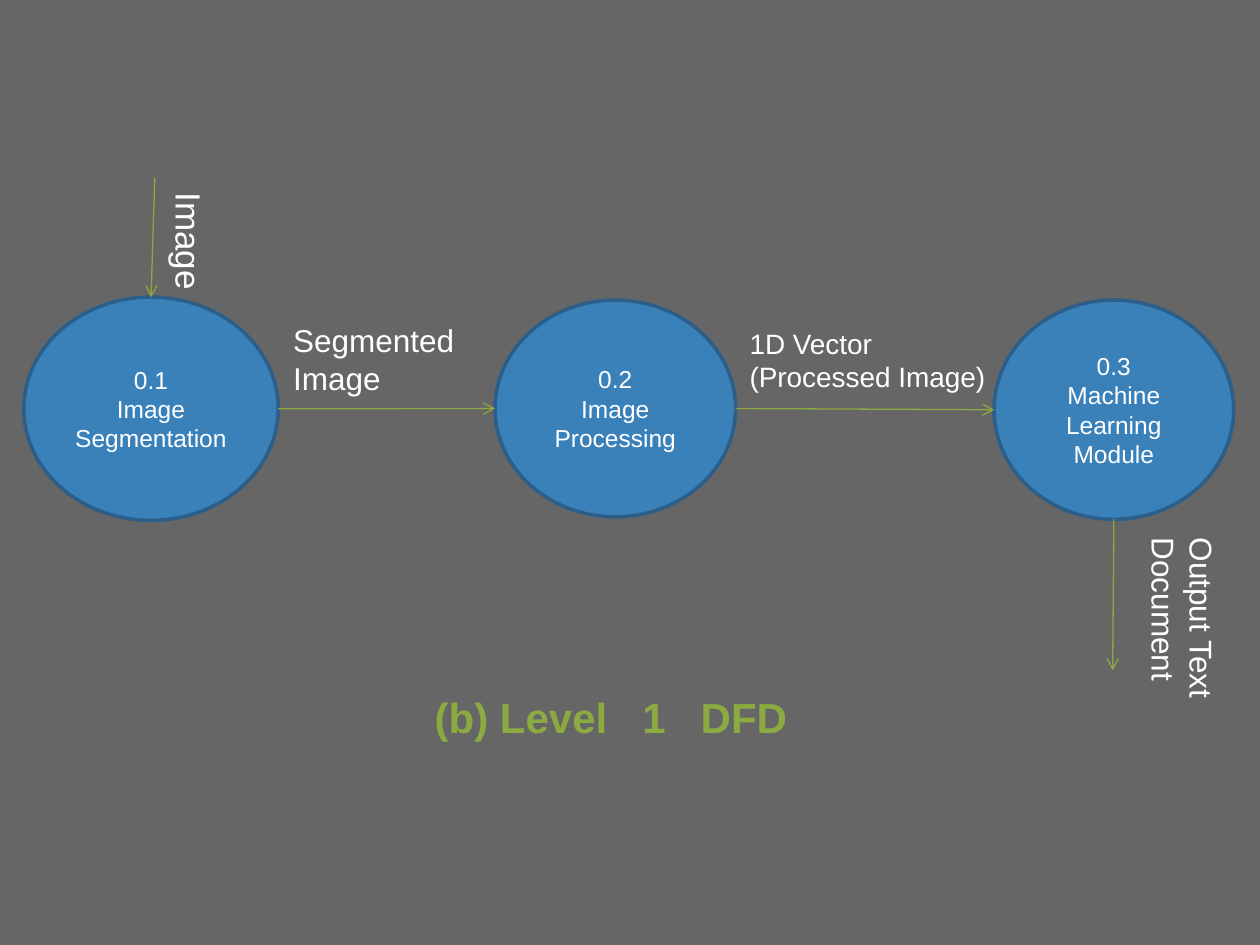
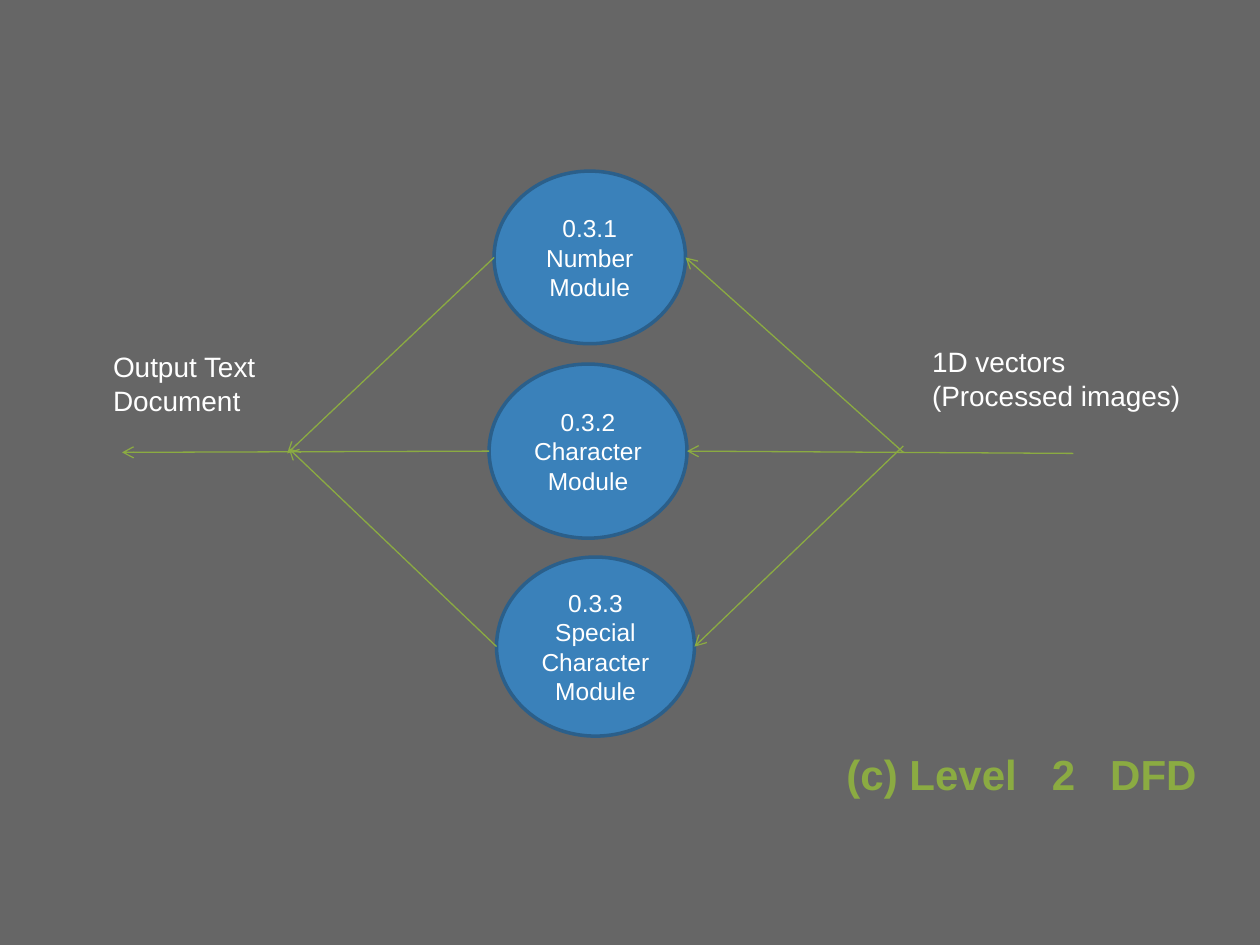
"""Build two data flow diagram slides, level 1 and level 2."""
from lxml import etree
from pptx import Presentation
from pptx import util as u
from pptx.dml.color import RGBColor
from pptx.enum import shapes, text
from pptx.oxml import ns

COLORS = {"back": "666666", "node": "3A81BA", "rim": "2B5F8A",
          "accent": "8BAB42", "text": "FFFFFF"}
FONT = "Arial"
WORD_GAP = 13.33

SLIDES = [
    {
        "title": (["(b) Level", "1", "DFD"], (8.51, 13.82, 8.2, 1.27)),
        "nodes": {
            "segment": (["0.1", "Image", "Segmentation"], (0.48, 5.99, 5.13, 4.5)),
            "process": (["0.2", "Image", "Processing"], (9.98, 6.05, 4.85, 4.37)),
            "learn": (["0.3", "Machine Learning Module"], (20.04, 6.05, 4.83, 4.42)),
        },
        "arrows": [
            ((3.12, 3.58), ("segment", "top")),
            (("segment", "right"), ("process", "left")),
            (("process", "right"), ("learn", "left")),
            (("learn", "bottom"), (22.43, 13.51)),
        ],
        "labels": [
            (["Image"], (3, 3.63, 1.37, 4.19), 20, True),
            (["Segmented", "Image"], (5.66, 6.35, 3.96, 1.8), 18, False),
            (["1D Vector", "(Processed Image)"], (14.86, 6.45, 5.4, 1.63), 16, False),
            (["Output Text", "Document"], (22.68, 10.59, 2.06, 4.19), 18, True),
        ],
    },
    {
        "title": (["(c) Level", "2", "DFD"], (16.81, 14.96, 7.75, 1.27)),
        "nodes": {
            "number": (["0.3.1", "Number", "Module"], (9.96, 3.45, 3.86, 3.48)),
            "character": (["0.3.2", "Character", "Module"], (9.86, 7.34, 3.99, 3.51)),
            "special": (["0.3.3", "Special", "Character", "Module"],
                        (10.01, 11.23, 3.99, 3.61)),
        },
        "arrows": [
            ((18.21, 9.12), ("number", "right")),
            ((21.64, 9.14), ("character", "right")),
            ((18.21, 8.99), ("special", "right")),
            (("number", "left"), (5.79, 9.14)),
            (("character", "left"), (2.46, 9.12)),
            (("special", "left"), (5.82, 9.04)),
        ],
        "labels": [
            (["1D vectors", "(Processed images)"], (18.54, 6.83, 5.92, 1.63), 16, False),
            (["Output Text", "Document"], (2.03, 6.93, 4.45, 1.63), 16, False),
        ],
    },
]

SIDES = {"top": (0.5, 0), "left": (0, 0.5), "bottom": (0.5, 1), "right": (1, 0.5)}


def rgb(name):
    return RGBColor.from_string(COLORS[name])


def cm(values):
    return [u.Cm(v) for v in values]


def add_run(p, words, size, color="text", bold=False):
    r = p.add_run()
    r.text = words
    r.font.name, r.font.size, r.font.bold = FONT, u.Pt(size), bold
    r.font.color.rgb = rgb(color)
    return r


def write_lines(tf, lines, size, align):
    tf.word_wrap = True
    for i, line in enumerate(lines):
        p = tf.add_paragraph() if i else tf.paragraphs[0]
        p.alignment = align
        add_run(p, line, size)


def set_title(s, words, box):
    sp = s.shapes.title
    sp.left, sp.top, sp.width, sp.height = cm(box)
    tf = sp.text_frame
    tf.word_wrap = True
    tf.auto_size = text.MSO_AUTO_SIZE.NONE
    tf.vertical_anchor = text.MSO_ANCHOR.TOP
    p = tf.paragraphs[0]
    p.alignment = text.PP_ALIGN.LEFT
    for i, word in enumerate(words):
        if i:
            gap = add_run(p, " ", 24, "accent", True)
            gap._r.get_or_add_rPr().set("spc", str(round(WORD_GAP * 100)))
        add_run(p, word, 24, "accent", True)


def add_node(s, lines, box):
    sp = s.shapes.add_shape(shapes.MSO_SHAPE.OVAL, *cm(box))
    sp.shadow.inherit = False
    sp.fill.solid()
    sp.fill.fore_color.rgb = rgb("node")
    sp.line.color.rgb = rgb("rim")
    sp.line.width = u.Pt(2)
    sp.text_frame.vertical_anchor = text.MSO_ANCHOR.MIDDLE
    write_lines(sp.text_frame, lines, 14, text.PP_ALIGN.CENTER)


def locate(end, nodes):
    if end[0] not in nodes:
        return end
    x, y, w, h = nodes[end[0]][1]
    dx, dy = SIDES[end[1]]
    return x + dx * w, y + dy * h


def add_arrow(s, start, end):
    line = s.shapes.add_connector(shapes.MSO_CONNECTOR.STRAIGHT, *cm(start + end))
    line.line.color.rgb = rgb("accent")
    line.line.width = u.Pt(0.75)
    etree.SubElement(line.line._get_or_add_ln(), ns.qn("a:tailEnd"), type="arrow")
    etree.SubElement(line._element.spPr, ns.qn("a:effectLst"))


def add_label(s, lines, box, size, vertical):
    tf = s.shapes.add_textbox(*cm(box)).text_frame
    write_lines(tf, lines, size, text.PP_ALIGN.LEFT)
    if vertical:
        tf._txBody.bodyPr.set("vert", "vert")


def main():
    prs = Presentation()
    prs.slide_width, prs.slide_height = cm((25.4, 19.05))
    back = prs.slide_master.background.fill
    back.solid()
    back.fore_color.rgb = rgb("back")
    for content in SLIDES:
        s = prs.slides.add_slide(prs.slide_layouts[5])
        nodes = content["nodes"]
        set_title(s, *content["title"])
        for node in nodes.values():
            add_node(s, *node)
        for start, end in content["arrows"]:
            add_arrow(s, locate(start, nodes), locate(end, nodes))
        for label in content["labels"]:
            add_label(s, *label)
    prs.save("out.pptx")


if __name__ == "__main__":
    main()
